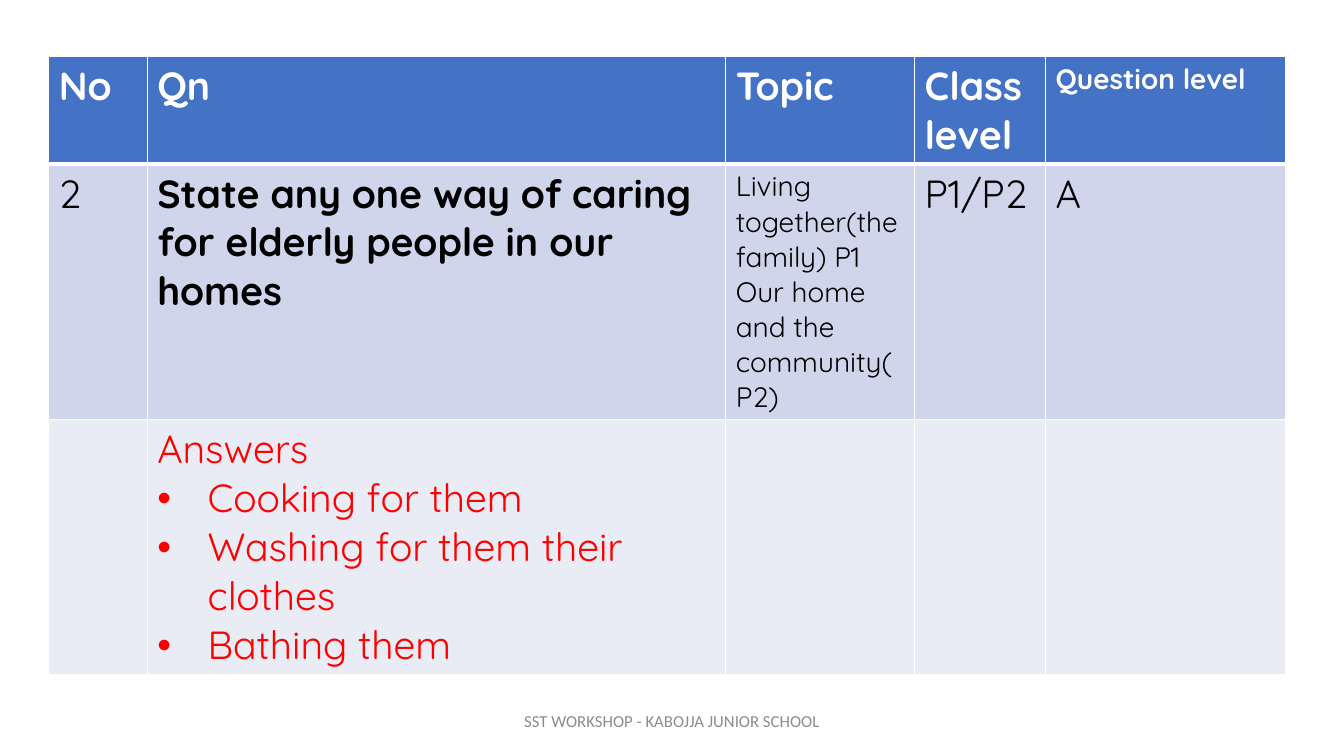
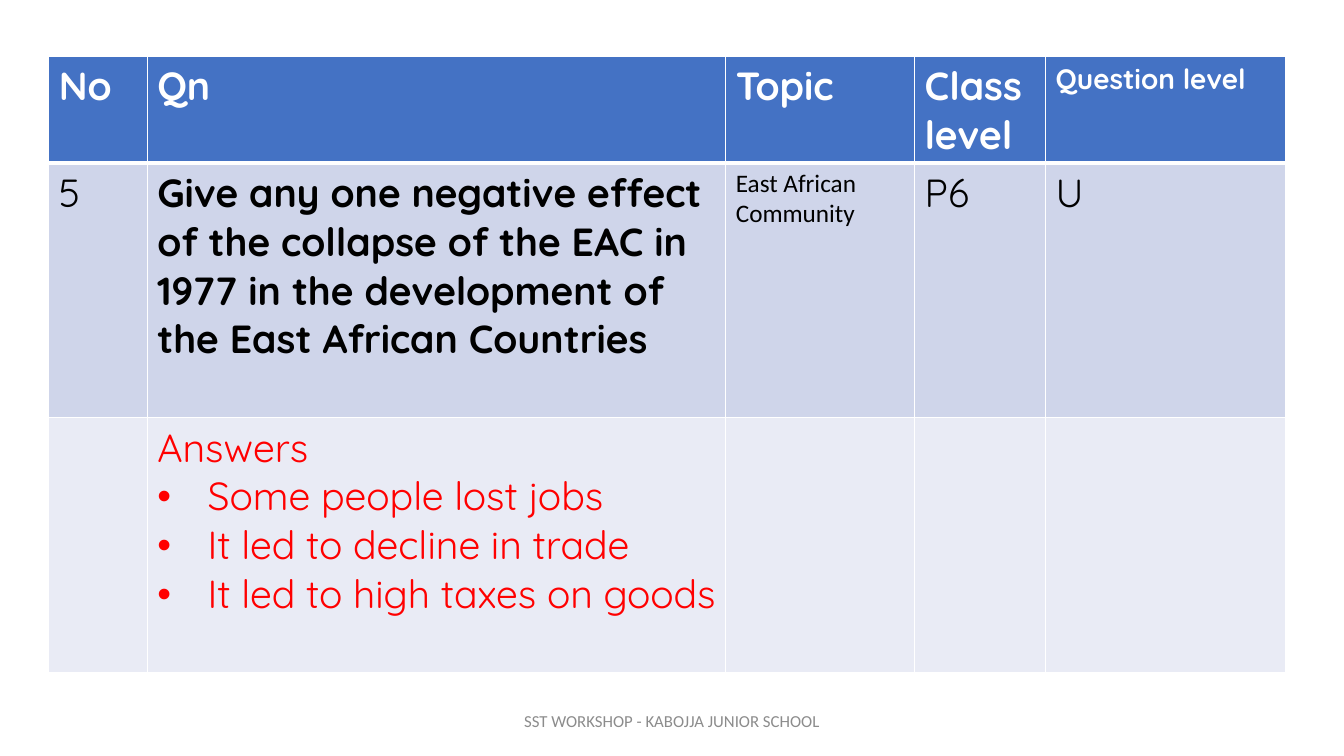
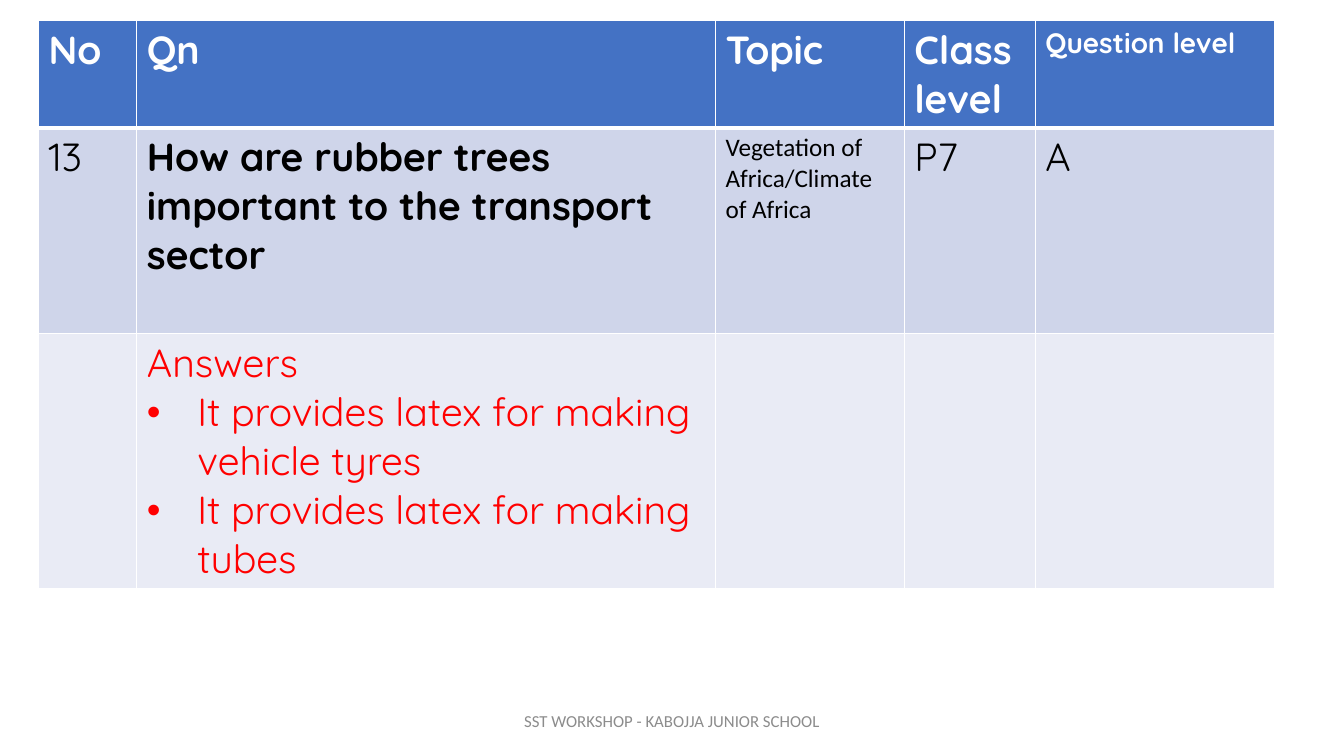
"""Build three workshop slides, each with a question table and a footer."""
from dataclasses import dataclass

from lxml import etree
from pptx import Presentation
from pptx import util as u
from pptx.dml.color import RGBColor
from pptx.enum import text
from pptx.oxml import ns

WHITE = RGBColor(0xFF, 0xFF, 0xFF)
BLACK = RGBColor(0x00, 0x00, 0x00)
RED = RGBColor(0xFF, 0x00, 0x00)
GREY = RGBColor(0x8C, 0x8C, 0x8C)
HEADER_BLUE = RGBColor(0x44, 0x72, 0xC4)
QUESTION_BLUE = RGBColor(0xCF, 0xD5, 0xEA)
ANSWER_BLUE = RGBColor(0xE9, 0xEB, 0xF5)

ROUNDED = "Quicksand"
PLAIN = "Calibri"
FOOTER = "SST WORKSHOP - KABOJJA JUNIOR SCHOOL"
COLUMN_WIDTHS = (2.48, 14.58, 4.76, 3.3, 6.04)
HEADER_HEIGHT = 2.7
ANSWER_HEIGHT = 6.42
BULLET_INDENT = u.Cm(1.27)
THIN = u.Pt(1)
THICK = u.Pt(3)


@dataclass(frozen=True)
class Style:
    """Look of a run of text."""
    size: float
    color: RGBColor
    bold: bool = False
    font: str = ROUNDED


@dataclass(frozen=True)
class Entry:
    """Paragraphs and text style of one table cell."""
    lines: tuple[str, ...]
    style: Style
    bulleted: bool = False


@dataclass(frozen=True)
class Question:
    """One exam question with its answers and table placement in centimetres."""
    number: str
    wording: str
    topic: tuple[str, ...]
    topic_style: Style
    class_level: str
    question_level: str
    answers: tuple[str, ...]
    left: float = 1.23
    top: float = 1.41
    height: float = 6.42


HEADING = Style(28, WHITE, bold=True)
SMALL_HEADING = Style(20, WHITE, bold=True)
BODY = Style(28, BLACK)
STRONG = Style(28, BLACK, bold=True)
ANSWER = Style(28, RED)
ROUNDED_TOPIC = Style(20, BLACK)
PLAIN_TOPIC = Style(18, BLACK, font=PLAIN)
FOOTER_STYLE = Style(12, GREY, font=PLAIN)

HEADER = (
    Entry(("No",), HEADING),
    Entry(("Qn",), HEADING),
    Entry(("Topic",), HEADING),
    Entry(("Class level",), HEADING),
    Entry(("Question level",), SMALL_HEADING),
)
EMPTY = Entry((), BODY)

QUESTIONS = (
    Question(
        "2", "State any one way of caring for elderly people in our homes",
        ("Living together(the family) P1", "Our home and the community(P2)"),
        ROUNDED_TOPIC, "P1/P2", "A",
        ("Cooking for them", "Washing for them their clothes", "Bathing them"),
    ),
    Question(
        "5",
        "Give any one negative effect of the collapse of the EAC in 1977 "
        "in the development of the East African Countries",
        ("East African Community",), PLAIN_TOPIC, "P6", "U",
        ("Some people lost jobs", "It led to decline in trade",
         "It led to high taxes on goods"),
    ),
    Question(
        "13", "How are rubber trees important to the transport sector",
        ("Vegetation of Africa/Climate of Africa",), PLAIN_TOPIC, "P7", "A",
        ("It provides latex for making vehicle tyres",
         "It provides latex for making tubes"),
        left=0.97, top=0.52, height=5.18,
    ),
)


def write_paragraph(paragraph, wording: str, style: Style) -> None:
    """Set the text of a paragraph and format its runs."""
    paragraph.text = wording
    for run in paragraph.runs:
        run.font.size = u.Pt(style.size)
        run.font.name = style.font
        run.font.bold = style.bold
        run.font.color.rgb = style.color


def add_bullet(paragraph) -> None:
    """Give a paragraph a hanging bullet."""
    properties = paragraph._p.get_or_add_pPr()
    properties.set("marL", str(BULLET_INDENT))
    properties.set("indent", str(-BULLET_INDENT))
    etree.SubElement(properties, ns.qn("a:buFont")).set("typeface", "Arial")
    etree.SubElement(properties, ns.qn("a:buChar")).set("char", "•")


def set_borders(cell, top: int, bottom: int) -> None:
    """Draw white borders on all sides of a cell."""
    properties = cell._tc.get_or_add_tcPr()
    for side, width in (("L", THIN), ("R", THIN), ("T", top), ("B", bottom)):
        line = etree.SubElement(properties, ns.qn(f"a:ln{side}"))
        line.set("w", str(width))
        fill = etree.SubElement(line, ns.qn("a:solidFill"))
        etree.SubElement(fill, ns.qn("a:srgbClr")).set("val", str(WHITE))


def fill_cell(cell, entry: Entry, color: RGBColor) -> None:
    """Colour a cell and write its paragraphs."""
    cell.fill.solid()
    cell.fill.fore_color.rgb = color
    frame = cell.text_frame
    for index, wording in enumerate(entry.lines):
        paragraph = frame.add_paragraph() if index else frame.paragraphs[0]
        if entry.bulleted and index:
            add_bullet(paragraph)
        write_paragraph(paragraph, wording, entry.style)


def add_question_table(slide, question: Question) -> None:
    """Add the table of a question and its answers."""
    question_row = (
        Entry((question.number,), BODY),
        Entry((question.wording,), STRONG),
        Entry(question.topic, question.topic_style),
        Entry((question.class_level,), BODY),
        Entry((question.question_level,), BODY),
    )
    answers = Entry(("Answers", *question.answers), ANSWER, bulleted=True)
    rows = (
        (HEADER, HEADER_BLUE, HEADER_HEIGHT, THIN, THICK),
        (question_row, QUESTION_BLUE, question.height, THICK, THIN),
        ((EMPTY, answers, EMPTY, EMPTY, EMPTY), ANSWER_BLUE, ANSWER_HEIGHT, THIN, THIN),
    )
    table = slide.shapes.add_table(
        len(rows), len(COLUMN_WIDTHS), u.Cm(question.left), u.Cm(question.top),
        u.Cm(sum(COLUMN_WIDTHS)), u.Cm(sum(row[2] for row in rows)),
    ).table
    for column, width in zip(table.columns, COLUMN_WIDTHS):
        column.width = u.Cm(width)
    for row, (entries, color, height, top, bottom) in zip(table.rows, rows):
        row.height = u.Cm(height)
        for cell, entry in zip(row.cells, entries):
            set_borders(cell, top, bottom)
            fill_cell(cell, entry, color)


def add_footer(slide) -> None:
    """Add the centred workshop footer."""
    shape = slide.shapes.add_textbox(u.Cm(11.22), u.Cm(17.65), u.Cm(11.43), u.Cm(1.02))
    frame = shape.text_frame
    frame.word_wrap = True
    frame.vertical_anchor = text.MSO_ANCHOR.MIDDLE
    paragraph = frame.paragraphs[0]
    paragraph.alignment = text.PP_ALIGN.CENTER
    write_paragraph(paragraph, FOOTER, FOOTER_STYLE)


def main() -> None:
    """Build and save the presentation."""
    presentation = Presentation()
    presentation.slide_width = u.Cm(33.87)
    presentation.slide_height = u.Cm(19.05)
    blank = presentation.slide_layouts[6]
    for question in QUESTIONS:
        slide = presentation.slides.add_slide(blank)
        add_question_table(slide, question)
        add_footer(slide)
    presentation.save("out.pptx")


if __name__ == "__main__":
    main()
